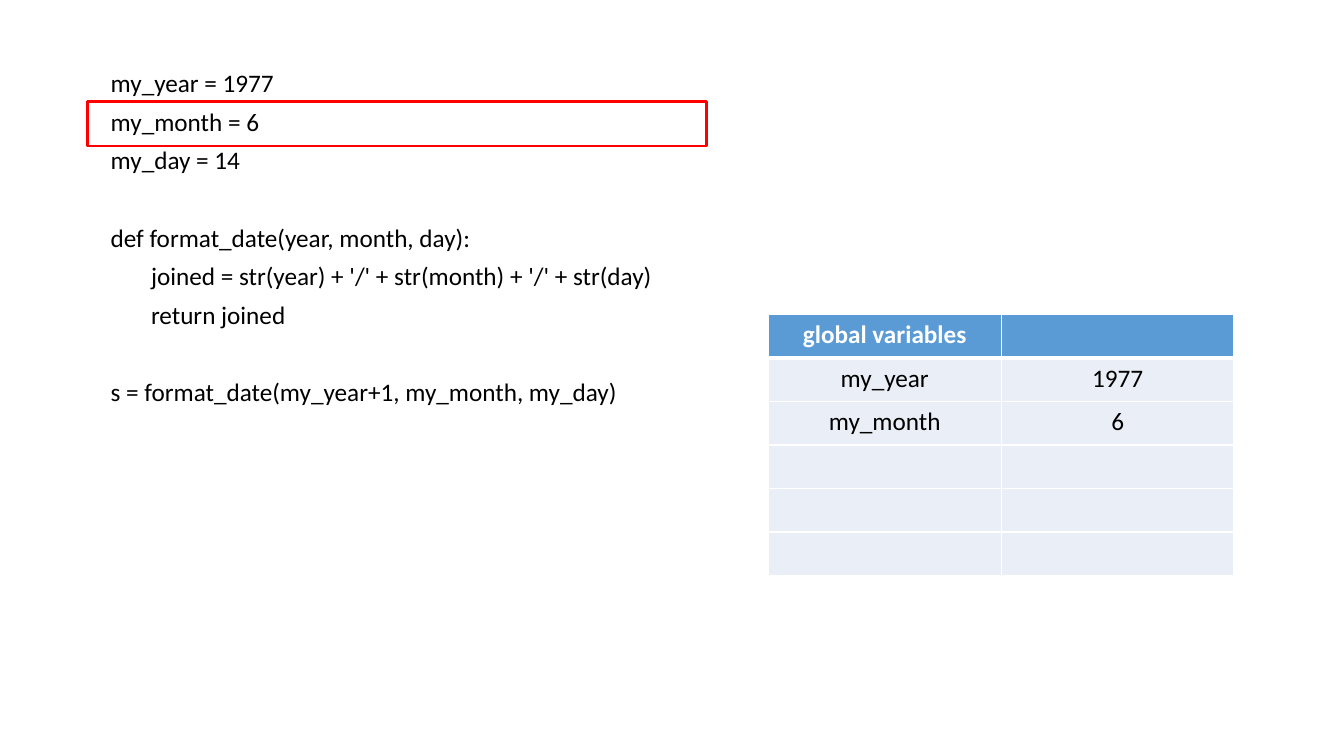
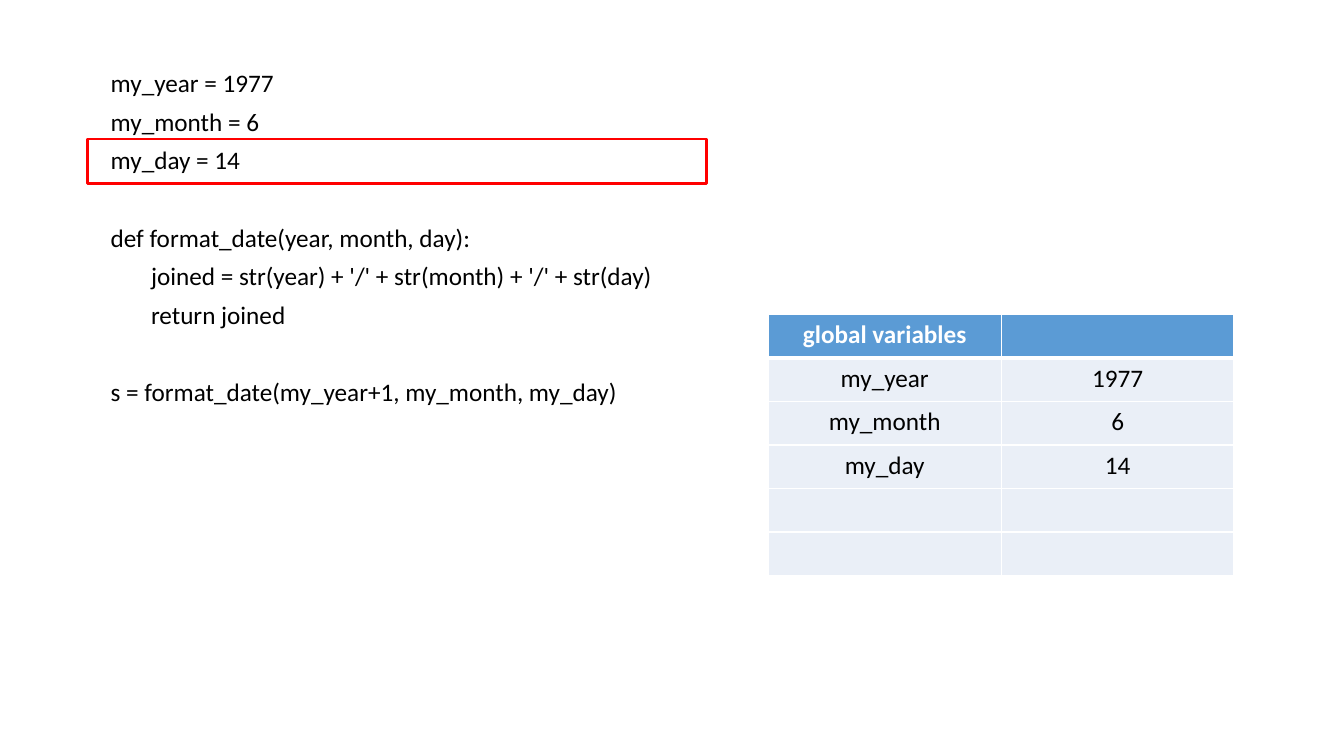
from pptx import Presentation
from pptx.dml.color import RGBColor
from pptx.enum.shapes import MSO_SHAPE
from pptx.enum.text import MSO_AUTO_SIZE, PP_ALIGN
from pptx.oxml import parse_xml
from pptx.oxml.ns import nsdecls
from pptx.util import Inches, Pt

BLACK = RGBColor(0x00, 0x00, 0x00)
WHITE = RGBColor(0xFF, 0xFF, 0xFF)
RED = RGBColor(0xFF, 0x00, 0x00)
HEADER_BLUE = RGBColor(0x5B, 0x9B, 0xD5)
ROW_BLUE = RGBColor(0xEA, 0xEF, 0xF7)
FONT, SIZE = "Calibri", Pt(18)
BLANK_LAYOUT = 6
LINE_GAP = Pt(27.6)

CODE_BLOCKS = [
    ["my_year = 1977", "my_month = 6", "my_day = 14"],
    ["def format_date(year, month, day):",
     "\tjoined = str(year) + '/' + str(month) + '/' + str(day)",
     "\treturn joined"],
    ["s = format_date(my_year+1, my_month, my_day)"],
]
VARIABLES = [("my_year", "1977"), ("my_month", "6"), ("my_day", "14")]
BODY_ROWS = 5


def style_run(r, color, bold=False):
    """Apply the shared font to a run."""
    r.font.name, r.font.size = FONT, SIZE
    r.font.color.rgb, r.font.bold = color, bold


def add_code(s, left, top, width, height):
    """Write the program, with a one-line gap between its blocks."""
    tf = s.shapes.add_textbox(left, top, width, height).text_frame
    tf.word_wrap = False
    tf.auto_size = MSO_AUTO_SIZE.SHAPE_TO_FIT_TEXT
    p = tf.paragraphs[0]
    for b, block in enumerate(CODE_BLOCKS):
        for i, line in enumerate(block):
            if b or i:
                p = tf.add_paragraph()
            p.text = line.lstrip("\t")
            p.space_after = Pt(6)
            if b and i == 0:
                p.space_before = LINE_GAP
            if line.startswith("\t"):
                p._p.get_or_add_pPr().set("marL", str(Inches(0.4)))
            style_run(p.runs[0], BLACK)


def set_borders(cell, top, bottom):
    """Give a cell white borders, 1 pt wide at the sides."""
    tcPr = cell._tc.get_or_add_tcPr()
    for side, width in (("L", 1), ("R", 1), ("T", top), ("B", bottom)):
        tcPr.append(parse_xml(
            f'<a:ln{side} {nsdecls("a")} w="{Pt(width)}"><a:solidFill>'
            f'<a:srgbClr val="{WHITE}"/></a:solidFill></a:ln{side}>'))


def add_variables(s, left, top, width, height, known):
    """Draw the table of global variables with the first known rows filled."""
    rows = [("global variables", "")] + VARIABLES[:known]
    rows += [("", "")] * (BODY_ROWS + 1 - len(rows))
    table = s.shapes.add_table(len(rows), 2, left, top, width, height).table
    for i, row in enumerate(rows):
        header = i == 0
        for j, text in enumerate(row):
            cell = table.cell(i, j)
            set_borders(cell, 3 if i == 1 else 1, 3 if header else 1)
            cell.fill.solid()
            cell.fill.fore_color.rgb = HEADER_BLUE if header else ROW_BLUE
            p = cell.text_frame.paragraphs[0]
            p.alignment = PP_ALIGN.CENTER
            if text:
                p.text = text
                style_run(p.runs[0], WHITE if header else BLACK, header)


def add_highlight(s, left, top, width, height):
    """Outline the current line in red."""
    sp = s.shapes.add_shape(MSO_SHAPE.RECTANGLE, left, top, width, height)
    sp.shadow.inherit = False
    sp.fill.background()
    sp.line.color.rgb = RED
    sp.line.width = Pt(2)


def add_step(prs, current):
    """Build the slide on which the given line has just run."""
    s = prs.slides.add_slide(prs.slide_layouts[BLANK_LAYOUT])
    add_code(s, Inches(1), Inches(0.62), Inches(5.64), Inches(3.58))
    add_variables(s, Inches(7.62), Inches(3.12), Inches(4.62), Inches(2.59),
                  current)
    add_highlight(s, Inches(0.87), Inches(0.64 + 0.37 * (current - 1)),
                  Inches(6.14), Inches(0.44))


prs = Presentation()
prs.slide_width, prs.slide_height = Inches(13.33), Inches(7.5)
for current in (2, 3):
    add_step(prs, current)
prs.save("out.pptx")
